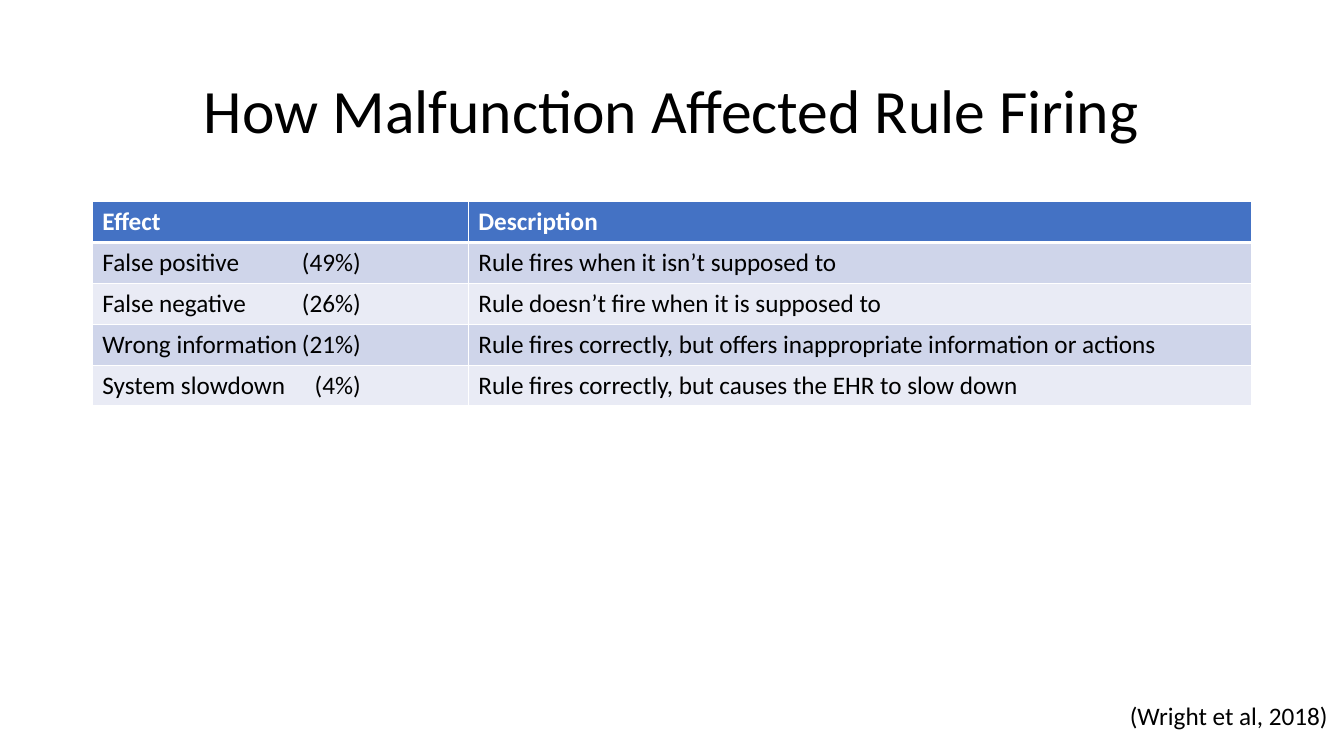
import pptx
import pptx.dml.color
import pptx.enum.text
import pptx.oxml
import pptx.oxml.ns
import pptx.util

Pt = pptx.util.Pt
Align = pptx.enum.text.PP_ALIGN
Anchor = pptx.enum.text.MSO_ANCHOR
NAMESPACE = pptx.oxml.ns.nsdecls("a")

FONT = "Calibri"
BLACK, WHITE, HEADER_BLUE = "000000", "FFFFFF", "4472C4"
BAND_COLORS = ("CFD5EA", "E9EBF5")
COLUMN_WIDTHS = (268.5, 559.5)
ROW_HEIGHT = 29.2
PERCENT_TAB = 184.5

HEADINGS = ("Effect", "Description")
EFFECTS = (
    ("False positive\t(49%)", "Rule fires when it isn’t supposed to"),
    ("False negative\t(26%)", "Rule doesn’t fire when it is supposed to"),
    ("Wrong information\t(21%)",
     "Rule fires correctly, but offers inappropriate information or actions"),
    ("System slowdown\t(4%)",
     "Rule fires correctly, but causes the EHR to slow down"),
)


def color(hex_string):
    return pptx.dml.color.RGBColor.from_string(hex_string)


def write_text(frame, text, size=18, bold=False, text_color=BLACK,
               align=Align.LEFT, line_spacing=None, right_tab=None):
    paragraph = frame.paragraphs[0]
    paragraph.alignment = align
    paragraph.line_spacing = line_spacing
    if right_tab:
        paragraph._p.get_or_add_pPr().append(pptx.oxml.parse_xml(
            f'<a:tabLst {NAMESPACE}><a:tab pos="{Pt(right_tab)}" algn="r"/>'
            '</a:tabLst>'))
    run = paragraph.add_run()
    run.text = text
    run.font.name = FONT
    run.font.size = Pt(size)
    run.font.bold = bold
    run.font.color.rgb = color(text_color)


def set_borders(cell, top=1, bottom=1):
    properties = cell._tc.get_or_add_tcPr()
    for side, width in (("L", 1), ("R", 1), ("T", top), ("B", bottom)):
        properties.append(pptx.oxml.parse_xml(
            f'<a:ln{side} {NAMESPACE} w="{Pt(width)}"><a:solidFill>'
            f'<a:srgbClr val="{WHITE}"/></a:solidFill></a:ln{side}>'))


def add_title(slide, left, top, width, height):
    box = slide.shapes.add_textbox(Pt(left), Pt(top), Pt(width), Pt(height))
    box.text_frame.word_wrap = True
    box.text_frame.vertical_anchor = Anchor.MIDDLE
    write_text(box.text_frame, "How Malfunction Affected Rule Firing",
               size=44, align=Align.CENTER, line_spacing=0.9)


def add_effects_table(slide, left, top):
    rows = (HEADINGS,) + EFFECTS
    table = slide.shapes.add_table(
        len(rows), len(HEADINGS), Pt(left), Pt(top),
        Pt(sum(COLUMN_WIDTHS)), Pt(ROW_HEIGHT * len(rows))).table
    for column, width in zip(table.columns, COLUMN_WIDTHS):
        column.width = Pt(width)
    for row_index, texts in enumerate(rows):
        table.rows[row_index].height = Pt(ROW_HEIGHT)
        is_header = row_index == 0
        fill = HEADER_BLUE if is_header else BAND_COLORS[(row_index - 1) % 2]
        for column_index, text in enumerate(texts):
            cell = table.cell(row_index, column_index)
            # A thick line parts the header from the body
            set_borders(cell, top=3 if row_index == 1 else 1,
                        bottom=3 if is_header else 1)
            cell.fill.solid()
            cell.fill.fore_color.rgb = color(fill)
            write_text(cell.text_frame, text, bold=is_header,
                       text_color=WHITE if is_header else BLACK,
                       right_tab=PERCENT_TAB if "\t" in text else None)


def add_citation(slide, left, top, width, height):
    box = slide.shapes.add_textbox(Pt(left), Pt(top), Pt(width), Pt(height))
    box.text_frame.word_wrap = False
    box.text_frame.auto_size = pptx.enum.text.MSO_AUTO_SIZE.SHAPE_TO_FIT_TEXT
    write_text(box.text_frame, "(Wright et al, 2018)")


def main():
    presentation = pptx.Presentation()
    presentation.slide_width = Pt(960)
    presentation.slide_height = Pt(540)
    slide = presentation.slides.add_slide(presentation.slide_layouts[6])
    slide.background.fill.solid()
    slide.background.fill.fore_color.rgb = color(WHITE)

    add_title(slide, 66, 28.75, 828, 104.4)
    add_effects_table(slide, 66, 144)
    add_citation(slide, 800, 497, 157.5, 29)
    presentation.save("out.pptx")


if __name__ == "__main__":
    main()
